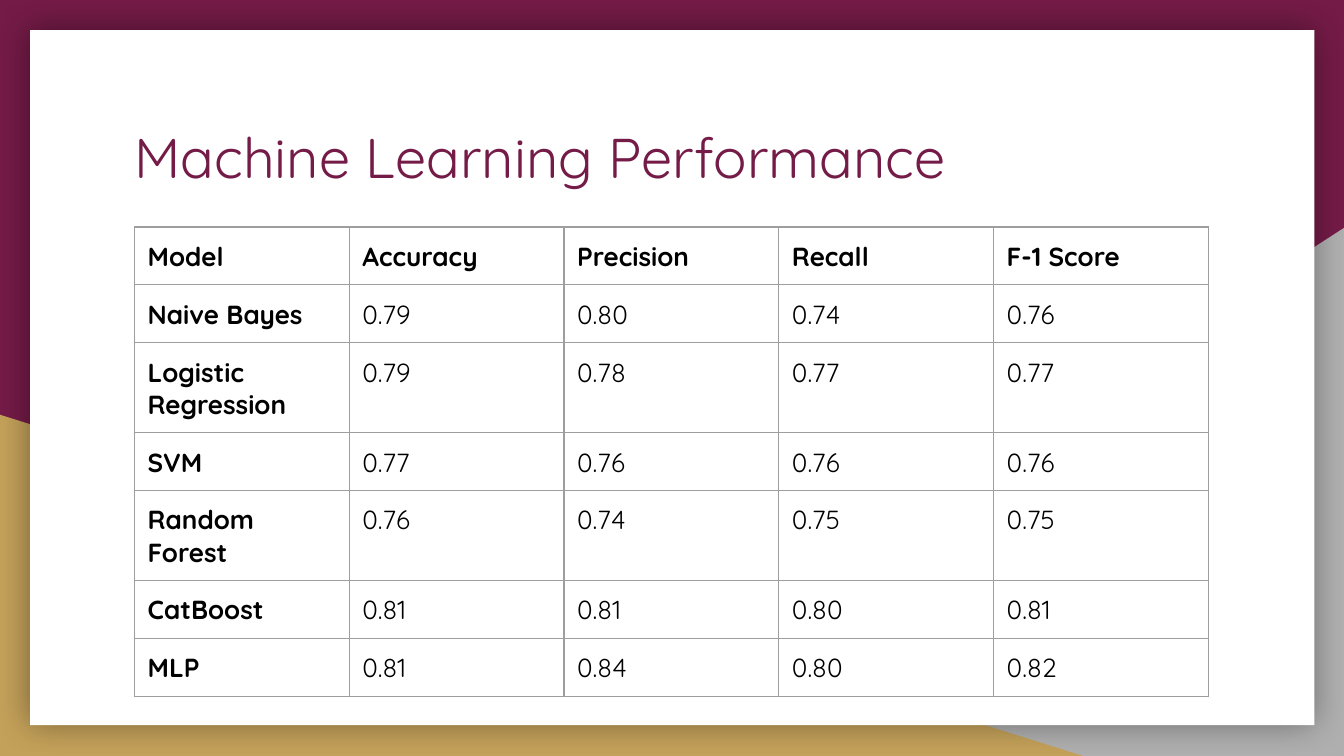
from lxml import etree
from pptx import Presentation
from pptx.dml.color import RGBColor
from pptx.enum.shapes import MSO_SHAPE as Shape
from pptx.enum.text import MSO_ANCHOR as Anchor
from pptx.oxml.ns import qn
from pptx.util import Cm, Pt

PLUM = RGBColor(0x74, 0x1B, 0x47)
GREY = RGBColor(0xAF, 0xAF, 0xAF)
GOLD = RGBColor(0xC4, 0xA1, 0x5A)
WHITE = RGBColor(0xFF, 0xFF, 0xFF)
BLACK = RGBColor(0x00, 0x00, 0x00)
BORDER = RGBColor(0x9E, 0x9E, 0x9E)


def add_color(parent, color):
    return etree.SubElement(parent, qn("a:srgbClr"), val=str(color))


class SlideBuilder:
    font = "Quicksand"
    inset = Cm(0.25)

    def __init__(self, slide, background):
        self.slide = slide
        slide.background.fill.solid()
        slide.background.fill.fore_color.rgb = background

    def add_run(self, paragraph, text, size, color, bold=False):
        run = paragraph.add_run()
        run.text = text
        run.font.name = self.font
        run.font.size = Pt(size)
        run.font.bold = bold
        run.font.color.rgb = color

    def set_insets(self, target):
        target.margin_left = target.margin_right = self.inset
        target.margin_top = target.margin_bottom = self.inset

    def shape(self, kind, left, top, width, height, color, flip=False):
        shape = self.slide.shapes.add_shape(
            kind, Cm(left), Cm(top), Cm(width), Cm(height))
        shape.shadow.inherit = False
        shape.fill.solid()
        shape.fill.fore_color.rgb = color
        shape.line.fill.background()
        if flip:
            shape.element.spPr.find(qn("a:xfrm")).set("flipH", "1")
        return shape

    def glow_shadow(self, shape, blur, opacity):
        effects = shape.element.spPr.find(qn("a:effectLst"))
        shadow = etree.SubElement(effects, qn("a:outerShdw"),
                                  blurRad=str(Pt(blur)), dist="0", dir="0",
                                  algn="ctr", rotWithShape="0")
        etree.SubElement(add_color(shadow, BLACK), qn("a:alpha"),
                         val=str(opacity * 1000))

    def title(self, text, left, top, width, height):
        frame = self.slide.shapes.add_textbox(
            Cm(left), Cm(top), Cm(width), Cm(height)).text_frame
        frame.word_wrap = True
        frame.vertical_anchor = Anchor.TOP
        self.set_insets(frame)
        self.add_run(frame.paragraphs[0], text, 30, PLUM)

    def cell_borders(self, cell):
        properties = cell._tc.get_or_add_tcPr()
        for index, side in enumerate(("lnL", "lnR", "lnT", "lnB")):
            line = etree.Element(qn(f"a:{side}"), w=str(Pt(0.75)))
            add_color(etree.SubElement(line, qn("a:solidFill")), BORDER)
            properties.insert(index, line)

    def table(self, rows, left, top, column_width, row_heights):
        table = self.slide.shapes.add_table(
            len(rows), len(rows[0]), Cm(left), Cm(top),
            Cm(column_width * len(rows[0])), Cm(sum(row_heights))).table
        table.first_row = table.horz_banding = False
        for column in table.columns:
            column.width = Cm(column_width)
        for r, (values, height) in enumerate(zip(rows, row_heights)):
            table.rows[r].height = Cm(height)
            for c, value in enumerate(values):
                cell = table.cell(r, c)
                cell.fill.background()
                cell.vertical_anchor = Anchor.TOP
                self.set_insets(cell)
                self.cell_borders(cell)
                self.add_run(cell.text_frame.paragraphs[0], value, 14, BLACK,
                             bold=r == 0 or c == 0)


SCORES = [
    ("Model", "Accuracy", "Precision", "Recall", "F-1 Score"),
    ("Naive Bayes", "0.79", "0.80", "0.74", "0.76"),
    ("Logistic Regression", "0.79", "0.78", "0.77", "0.77"),
    ("SVM", "0.77", "0.76", "0.76", "0.76"),
    ("Random Forest", "0.76", "0.74", "0.75", "0.75"),
    ("CatBoost", "0.81", "0.81", "0.80", "0.81"),
    ("MLP", "0.81", "0.84", "0.80", "0.82"),
]


def main():
    presentation = Presentation()
    presentation.slide_width = Cm(25.4)
    presentation.slide_height = Cm(14.29)
    slide = presentation.slides.add_slide(presentation.slide_layouts[6])
    builder = SlideBuilder(slide, PLUM)

    # Backdrop: two corner triangles and the white card
    builder.shape(Shape.RIGHT_TRIANGLE, 9.96, 4.31, 15.44, 9.98, GREY, flip=True)
    builder.shape(Shape.RIGHT_TRIANGLE, 0, 7.84, 20.47, 6.45, GOLD)
    card = builder.shape(Shape.RECTANGLE, 0.57, 0.57, 24.27, 13.14, WHITE)
    builder.glow_shadow(card, blur=18, opacity=40)

    # Title
    builder.title("Machine Learning Performance", 2.29, 2.06, 20.85, 2.64)

    # Score table: names that wrap need a taller row
    heights = [1.7 if " Reg" in row[0] or " For" in row[0] else 1.09
               for row in SCORES]
    builder.table(SCORES, 2.54, 4.29, 4.06, heights)

    presentation.save("out.pptx")


if __name__ == "__main__":
    main()
